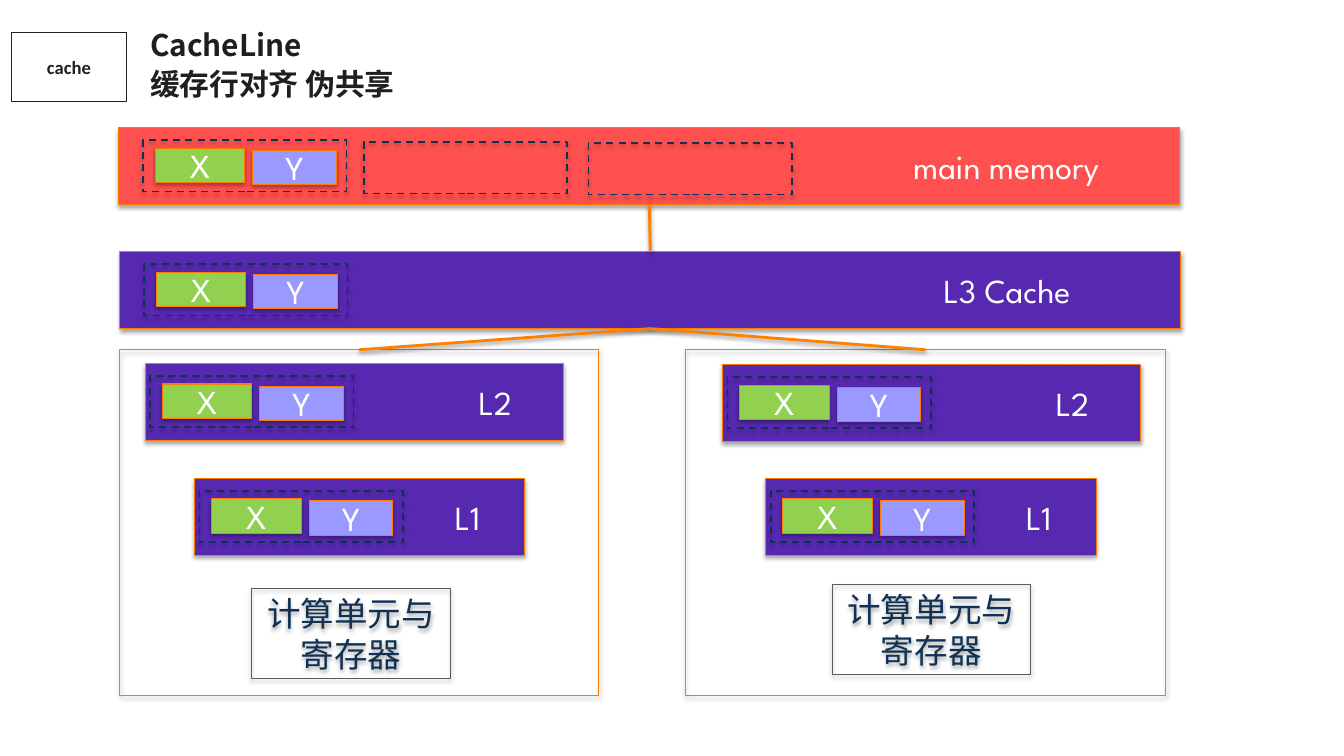
"""Build a slide on cache lines, alignment and false sharing."""
from dataclasses import dataclass

from lxml.etree import SubElement
from pptx import Presentation
from pptx.dml.color import RGBColor
from pptx.enum.dml import MSO_LINE
from pptx.enum.shapes import MSO_CONNECTOR, MSO_SHAPE
from pptx.enum.text import MSO_ANCHOR, MSO_AUTO_SIZE, PP_ALIGN
from pptx.oxml.ns import qn
from pptx.util import Inches, Pt


@dataclass(frozen=True)
class Theme:
    """Colours, fonts and type sizes of the slide."""
    ink: str = "1F1F1F"
    navy: str = "103154"
    grey: str = "5A5A5A"
    white: str = "FFFFFF"
    orange: str = "FA7C00"
    link: str = "FF7F01"
    memory: str = "FF5050"
    cache: str = "5729B1"
    x_cell: str = "92D050"
    y_cell: str = "9999FF"
    title_font: str = "Noto Sans CJK SC"
    tag_font: str = "Calibri"
    label_font: str = "League Spartan"
    title_size: float = 21.3
    tag_size: float = 13.3
    label_size: float = 24


class CachePage:
    """Draws the elements of the cache diagram on one slide."""

    def __init__(self, page, theme):
        """Keep the slide and its style."""
        self.page = page
        self.theme = theme

    def style(self, box, font, size, color, bold=False):
        """Format every run in a box."""
        for para in box.text_frame.paragraphs:
            for span in para.runs:
                span.font.name = font
                span.font.size = Pt(size)
                span.font.bold = bold
                span.font.color.rgb = RGBColor.from_string(color)
                east_asian = SubElement(span.font._element, qn("a:ea"))
                east_asian.set("typeface", self.theme.title_font)

    def cast_shadow(self, effects, alpha=35, distance=1.8):
        """Add a soft downward shadow to an effect list."""
        shadow = SubElement(effects, qn("a:outerShdw"), blurRad=str(Pt(3.1)),
                            dist=str(Pt(distance)), dir="5400000", rotWithShape="0")
        color = SubElement(shadow, qn("a:srgbClr"), val="000000")
        SubElement(color, qn("a:alpha"), val=str(alpha * 1000))

    def pad(self, frame, side, edge):
        """Set the inner margins of a text frame."""
        frame.margin_left = frame.margin_right = Inches(side)
        frame.margin_top = frame.margin_bottom = Inches(edge)

    def title(self, text, left, top, width, height):
        """Place and format the slide title."""
        box = self.page.shapes.title
        box.left, box.top = Inches(left), Inches(top)
        box.width, box.height = Inches(width), Inches(height)
        frame = box.text_frame
        frame.text = text
        frame.word_wrap = True
        frame.auto_size = MSO_AUTO_SIZE.NONE
        frame.vertical_anchor = MSO_ANCHOR.MIDDLE
        self.pad(frame, 0.13, 0.07)
        for para in frame.paragraphs:
            para.alignment = PP_ALIGN.LEFT
            para.line_spacing = 1.1
        self.style(box, self.theme.title_font, self.theme.title_size, self.theme.ink, True)

    def box(self, left, top, width, height, line, fill=None, text="", color=None,
            shift=0, weight=0.75, shadow=True):
        """Draw a rectangle whose label may sit right of centre."""
        box = self.page.shapes.add_shape(MSO_SHAPE.RECTANGLE, Inches(left), Inches(top),
                                         Inches(width), Inches(height))
        if fill:
            box.fill.solid()
            box.fill.fore_color.rgb = RGBColor.from_string(fill)
        else:
            box.fill.background()
        box.line.color.rgb = RGBColor.from_string(line)
        box.line.width = Pt(weight)
        box.shadow.inherit = False
        if shadow:
            self.cast_shadow(box._element.spPr.find(qn("a:effectLst")))
        if text:
            frame = box.text_frame
            frame.text = text
            frame.word_wrap = True
            frame.vertical_anchor = MSO_ANCHOR.MIDDLE
            frame.margin_left = Inches(0.1 + 2 * shift)
            frame.paragraphs[0].alignment = PP_ALIGN.CENTER
            self.style(box, self.theme.label_font, self.theme.label_size,
                       color or self.theme.white)
        return box

    def tag(self, text, left, top, width, height):
        """Draw the small topic tag beside the title."""
        tag = self.box(left, top, width, height, self.theme.ink, text=text, shadow=False)
        self.pad(tag.text_frame, 0.13, 0.07)
        self.style(tag, self.theme.tag_font, self.theme.tag_size, self.theme.ink, True)

    def cache_line(self, left, top):
        """Draw the dashed outline of one cache line."""
        outline = self.box(left, top, 2.02, 0.51, self.theme.navy, weight=1.25)
        outline.line.dash_style = MSO_LINE.DASH

    def level(self, text, left, top, width, fill, shift, indent):
        """Draw a memory level with a cache line holding X and Y."""
        bar = self.box(left, top, width, 0.76, self.theme.orange, fill, text, shift=shift)
        left, top = left + indent, top + 0.12
        self.cache_line(left, top)
        self.box(left + 0.12, top + 0.08, 0.89, 0.34, self.theme.orange,
                 self.theme.x_cell, "X")
        self.box(left + 1.09, top + 0.1, 0.83, 0.34, self.theme.orange,
                 self.theme.y_cell, "Y")
        return bar

    def link(self, upper, lower):
        """Join the bottom of one box to the top of another."""
        line = self.page.shapes.add_connector(MSO_CONNECTOR.STRAIGHT, 0, 0, 0, 0)
        line.begin_connect(upper, 2)
        line.end_connect(lower, 0)
        line.line.color.rgb = RGBColor.from_string(self.theme.link)
        line.line.width = Pt(2)
        effects = SubElement(line._element.spPr, qn("a:effectLst"))
        self.cast_shadow(effects, 38, 1.6)


def main():
    """Build and save the deck."""
    deck = Presentation()
    deck.slide_width, deck.slide_height = Inches(13.34), Inches(7.5)
    theme = Theme()
    page = CachePage(deck.slides.add_slide(deck.slide_layouts[5]), theme)

    page.title("CacheLine\n缓存行对齐 伪共享", 1.36, 0.16, 5.03, 0.92)
    page.tag("cache", 0.11, 0.32, 1.15, 0.69)

    memory = page.level("main memory", 1.18, 1.27, 10.53, theme.memory, 3.54, 0.24)
    for left, top in ((3.61, 1.41), (5.84, 1.42)):
        page.cache_line(left, top)
    shared = page.level("L3 Cache", 1.19, 2.5, 10.53, theme.cache, 3.54, 0.24)
    page.link(memory, shared)

    cores = (
        (1.19, 4.75, (1.44, 3.61), 1.93, (2.5, 5.84)),
        (6.8, 4.77, (7.17, 3.62), 7.6, (8.26, 5.8)),
    )
    for left, width, second, first_left, unit in cores:
        core = page.box(left, 3.47, width, 3.43, theme.orange)
        page.level("L2", *second, 4.15, theme.cache, 1.4, 0.05)
        page.level("L1", first_left, 4.75, 3.28, theme.cache, 1.07, 0.05)
        page.box(*unit, 1.97, 0.89, theme.grey, text="计算单元与寄存器", color=theme.navy)
        page.link(shared, core)

    deck.save("out.pptx")


if __name__ == "__main__":
    main()
